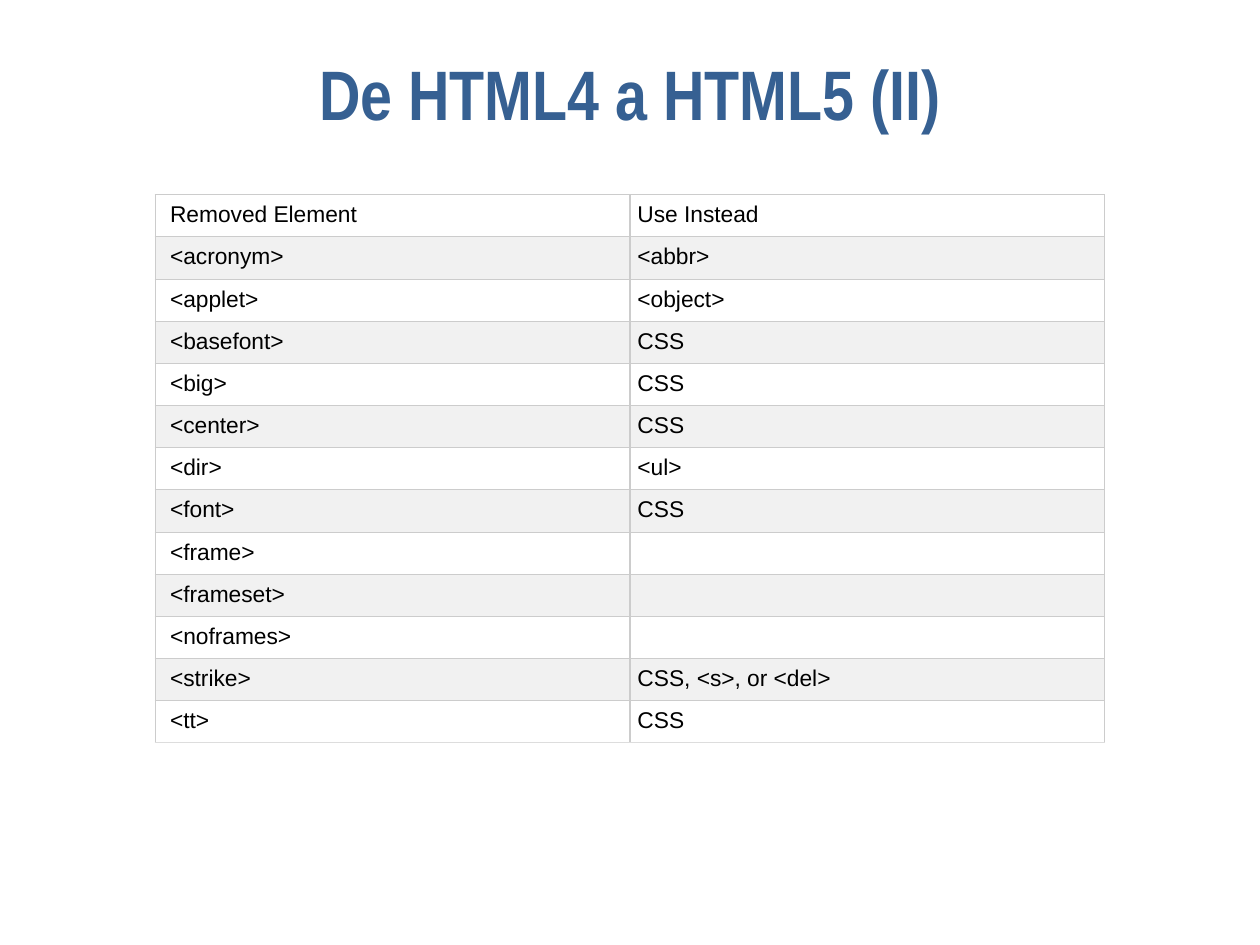
from lxml.etree import SubElement
from pptx import Presentation
from pptx.dml.color import RGBColor
from pptx.enum.text import MSO_ANCHOR, MSO_AUTO_SIZE, PP_ALIGN
from pptx.oxml.ns import qn
from pptx.util import Pt

TITLE_BLUE = RGBColor(0x36, 0x60, 0x92)
BLACK = RGBColor(0x00, 0x00, 0x00)
WHITE = RGBColor(0xFF, 0xFF, 0xFF)
BAND_GREY = RGBColor(0xF1, 0xF1, 0xF1)
BORDER_GREY = RGBColor(0xCC, 0xCC, 0xCC)
BOTTOM_GREY = RGBColor(0xDD, 0xDD, 0xDD)

REPLACEMENTS = [
    ("Removed Element", "Use Instead"),
    ("<acronym>", "<abbr>"),
    ("<applet>", "<object>"),
    ("<basefont>", "CSS"),
    ("<big>", "CSS"),
    ("<center>", "CSS"),
    ("<dir>", "<ul>"),
    ("<font>", "CSS"),
    ("<frame>", ""),
    ("<frameset>", ""),
    ("<noframes>", ""),
    ("<strike>", "CSS, <s>, or <del>"),
    ("<tt>", "CSS"),
]
COLUMN_WIDTH = 271.4
ROW_HEIGHT = 24.1
CELL_MARGIN = 4.3
FIRST_COLUMN_MARGIN = 8.6


def add_run(paragraph, text, font_name, size, color, bold=False):
    run = paragraph.add_run()
    run.text = text
    run.font.name = font_name
    run.font.size = Pt(size)
    run.font.bold = bold
    run.font.color.rgb = color


def format_title(title, text):
    title.left, title.top = Pt(36), Pt(21.6)
    title.width, title.height = Pt(648), Pt(62.6)
    frame = title.text_frame
    frame.auto_size = MSO_AUTO_SIZE.NONE
    frame.vertical_anchor = MSO_ANCHOR.MIDDLE
    heading = frame.paragraphs[0]
    heading.alignment = PP_ALIGN.CENTER
    add_run(heading, text, "Arial Narrow", 40, TITLE_BLUE, bold=True)


def set_borders(cell, bottom_color):
    """Draw the four cell edges; call before the fill, which must follow them in the XML."""
    properties = cell._tc.get_or_add_tcPr()
    for edge in ("lnL", "lnR", "lnT", "lnB"):
        color = bottom_color if edge == "lnB" else BORDER_GREY
        line = SubElement(properties, qn(f"a:{edge}"), w=str(Pt(0.75)))
        fill = SubElement(line, qn("a:solidFill"))
        SubElement(fill, qn("a:srgbClr"), val=str(color))


def fill_cell(cell, text, left_margin, background, bottom_color):
    set_borders(cell, bottom_color)
    cell.fill.solid()
    cell.fill.fore_color.rgb = background
    cell.margin_left, cell.margin_right = Pt(left_margin), Pt(CELL_MARGIN)
    # Without vertical margins an empty cell does not stretch its row.
    cell.margin_top = cell.margin_bottom = Pt(CELL_MARGIN if text else 0)
    if text:
        add_run(cell.text_frame.paragraphs[0], text, "Arial", 13, BLACK)


def add_replacement_table(slide):
    row_count = len(REPLACEMENTS)
    table = slide.shapes.add_table(
        row_count, 2, Pt(88.6), Pt(111.3),
        Pt(2 * COLUMN_WIDTH), Pt(row_count * ROW_HEIGHT)).table
    for column in table.columns:
        column.width = Pt(COLUMN_WIDTH)
    for row_index, texts in enumerate(REPLACEMENTS):
        table.rows[row_index].height = Pt(ROW_HEIGHT)
        background = BAND_GREY if row_index % 2 else WHITE
        bottom_color = BOTTOM_GREY if row_index == row_count - 1 else BORDER_GREY
        for column_index, text in enumerate(texts):
            left_margin = CELL_MARGIN if column_index else FIRST_COLUMN_MARGIN
            fill_cell(table.cell(row_index, column_index), text,
                      left_margin, background, bottom_color)


def main():
    presentation = Presentation()
    presentation.slide_width, presentation.slide_height = Pt(720), Pt(540)
    slide = presentation.slides.add_slide(
        presentation.slide_layouts.get_by_name("Title Only"))
    format_title(slide.shapes.title, "De HTML4 a HTML5 (II)")
    add_replacement_table(slide)
    presentation.save("out.pptx")


if __name__ == "__main__":
    main()
